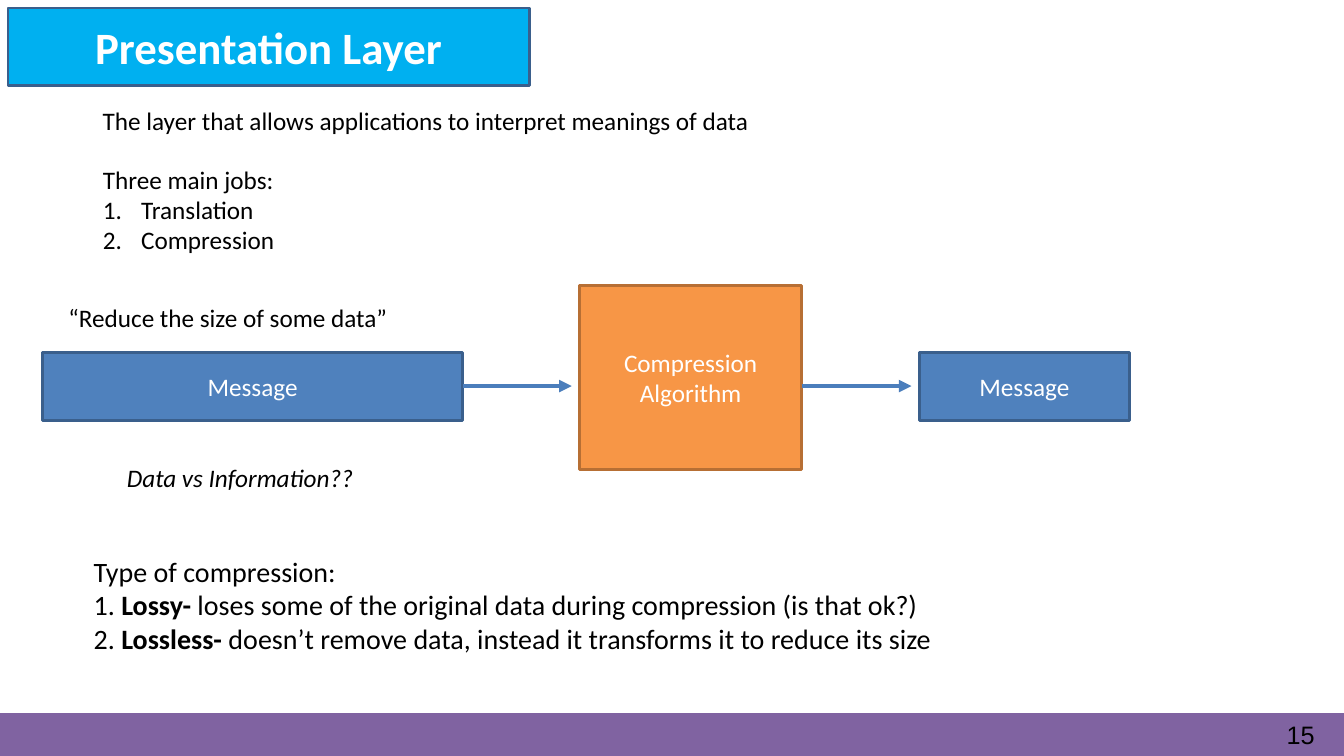
from lxml import etree
from pptx import Presentation
from pptx.dml.color import RGBColor
from pptx.enum.shapes import MSO_CONNECTOR, MSO_SHAPE
from pptx.enum.text import MSO_ANCHOR, MSO_AUTO_SIZE, PP_ALIGN
from pptx.oxml.ns import qn
from pptx.util import Inches, Pt

RECTANGLE, STRAIGHT = MSO_SHAPE.RECTANGLE, MSO_CONNECTOR.STRAIGHT
MIDDLE, TOP = MSO_ANCHOR.MIDDLE, MSO_ANCHOR.TOP
CENTER, LEFT = PP_ALIGN.CENTER, PP_ALIGN.LEFT
NO_FIT = MSO_AUTO_SIZE.NONE

COLORS = {
    "title": "00B0F0", "message": "4F81BD", "message_edge": "3A5F8C",
    "algorithm": "F79646", "algorithm_edge": "B76F34", "arrow": "4B7EBC",
    "footer": "8063A1", "black": "000000", "white": "FFFFFF",
}

TITLE = "Presentation Layer"
TITLE_PLACE = (0.08, 0.08, 5.17, 0.77)
JOBS_HEADING = "Three main jobs:"
JOBS = ["Translation", "Compression"]
JOBS_PLACE = (0.92, 1.58, 2.08, 1.01)
JOBS_INDENT = 0.38

NOTES = [
    ((0.92, 1, 7.2, 0.4), {},
     [[("The layer that allows applications to interpret meanings of data", {})]]),
    ((0.58, 2.95, 3.71, 0.4), {}, [[("“Reduce the size of some data”", {})]]),
    ((0.83, 5.45, 9.49, 1.11), {"size": 20}, [
        [("Type of compression:", {})],
        [("1. ", {}), ("Lossy-", {"bold": True}),
         (" loses some of the original data during compression (is that ok?)", {})],
        [("2. ", {}), ("Lossless-", {"bold": True}),
         (" doesn’t remove data, instead it transforms it to reduce its size", {})],
    ]),
    ((1.16, 4.54, 2.67, 0.4), {"italic": True}, [[("Data vs Information??", {})]]),
]

FLOW = [
    ("Message", "message", (0.42, 3.5, 4.17, 0.67)),
    ("Compression Algorithm", "algorithm", (5.75, 2.83, 2.2, 1.83)),
    ("Message", "message", (9.12, 3.5, 2.08, 0.67)),
]
ARROW_Y, ARROW_GAP = 3.83, 0.08

PAGE_NUMBER = "15"
FOOTER_PLACE = (0, 7.08, 13.33, 0.42)
PAGE_NUMBER_PLACE = (12.58, 7.15, 0.71, 0.31)
PAGE_NUMBER_INDENT = 0.18


def inches(values):
    return [Inches(value) for value in values]


def color(name):
    return RGBColor.from_string(COLORS[name])


def format_font(font, ink="black", **changes):
    values = {"name": "Calibri", "size": 18, "bold": False, "italic": False, **changes}
    values["size"] = Pt(values["size"])
    for key, value in values.items():
        setattr(font, key, value)
    font.color.rgb = color(ink)


def format_frame(frame, anchor):
    for key, value in {"word_wrap": True, "auto_size": NO_FIT,
                       "vertical_anchor": anchor}.items():
        setattr(frame, key, value)


def place(shape, box):
    for key, value in zip(("left", "top", "width", "height"), inches(box)):
        setattr(shape, key, value)


def paint(shape, fill, edge, width):
    shape.fill.solid()
    shape.fill.fore_color.rgb = color(fill)
    shape.line.color.rgb = color(edge)
    shape.line.width = Pt(width)


def write_centered(shape, text, **font_values):
    format_frame(shape.text_frame, MIDDLE)
    shape.text_frame.text = text
    paragraph = shape.text_frame.paragraphs[0]
    paragraph.alignment = CENTER
    format_font(paragraph.runs[0].font, "white", **font_values)


def add_box(shapes, box, fill, edge, width):
    shape = shapes.add_shape(RECTANGLE, *inches(box))
    shape.shadow.inherit = False
    paint(shape, fill, edge, width)
    return shape


def add_note(shapes, box, font_values, lines):
    frame = shapes.add_textbox(*inches(box)).text_frame
    format_frame(frame, TOP)
    for index, line in enumerate(lines):
        paragraph = frame.add_paragraph() if index else frame.paragraphs[0]
        for text, emphasis in line:
            run = paragraph.add_run()
            run.text = text
            format_font(run.font, **{**font_values, **emphasis})
    return frame


def add_arrow(shapes, start, end):
    arrow = shapes.add_connector(STRAIGHT, *inches((start, ARROW_Y, end, ARROW_Y)))
    arrow.line.color.rgb = color("arrow")
    arrow.line.width = Pt(3)
    etree.SubElement(arrow.line._get_or_add_ln(), qn("a:tailEnd"), type="triangle")
    etree.SubElement(arrow._element.spPr, qn("a:effectLst"))


def fill_jobs(body):
    place(body, JOBS_PLACE)
    frame = body.text_frame
    format_frame(frame, TOP)
    frame.text = "\n".join([JOBS_HEADING, *JOBS])
    for index, paragraph in enumerate(frame.paragraphs):
        paragraph.alignment = LEFT
        paragraph.space_before = Pt(0)
        indent = Inches(JOBS_INDENT) if index else 0
        properties = paragraph._p.get_or_add_pPr()
        properties.set("marL", str(indent))
        properties.set("indent", str(-indent))
        if index:
            etree.SubElement(properties, qn("a:buFont"), typeface="+mj-lt")
            etree.SubElement(properties, qn("a:buAutoNum"), type="arabicPeriod")
        else:
            etree.SubElement(properties, qn("a:buNone"))
        format_font(paragraph.runs[0].font)


def add_footer(shapes):
    add_box(shapes, FOOTER_PLACE, "footer", "footer", 1)
    frame = add_note(shapes, PAGE_NUMBER_PLACE, {"name": "Arial"}, [[(PAGE_NUMBER, {})]])
    for side in ("left", "top", "right", "bottom"):
        setattr(frame, f"margin_{side}", 0)
    paragraph = frame.paragraphs[0]
    paragraph.line_spacing = Pt(20.9)
    paragraph._p.get_or_add_pPr().set("marL", str(Inches(PAGE_NUMBER_INDENT)))


def main():
    deck = Presentation()
    deck.slide_width, deck.slide_height = inches((13.33, 7.5))
    slide = deck.slides.add_slide(deck.slide_layouts[1])
    shapes = slide.shapes

    add_footer(shapes)
    place(shapes.title, TITLE_PLACE)
    paint(shapes.title, "title", "message_edge", 2)
    write_centered(shapes.title, TITLE, size=32, bold=True)
    fill_jobs(slide.placeholders[1])

    for text, role, box in FLOW:
        step = add_box(shapes, box, role, f"{role}_edge", 2)
        write_centered(step, text)
    for (_, _, source), (_, _, target) in zip(FLOW, FLOW[1:]):
        add_arrow(shapes, source[0] + source[2], target[0] - ARROW_GAP)
    for note in NOTES:
        add_note(shapes, *note)

    deck.save("out.pptx")


if __name__ == "__main__":
    main()
